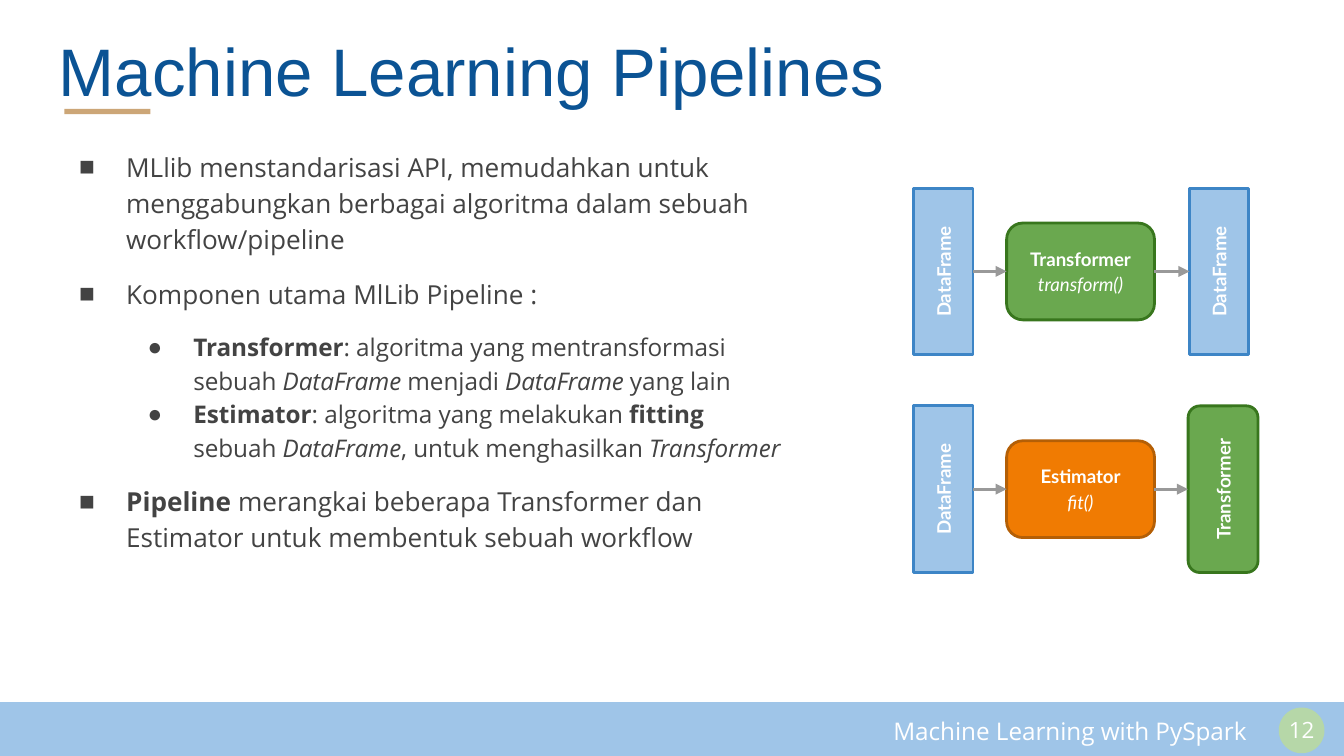
from lxml import etree
from pptx import Presentation
from pptx.dml.color import RGBColor
from pptx.enum import shapes, text
from pptx.oxml import ns
from pptx.util import Inches, Pt

WHITE = RGBColor(0xFF, 0xFF, 0xFF)
TAN = RGBColor(0xCC, 0xA6, 0x77)
LIGHT_BLUE = RGBColor(0x9F, 0xC5, 0xE8)
MID_BLUE = RGBColor(0x3D, 0x85, 0xC6)
TITLE_BLUE = RGBColor(0x0B, 0x53, 0x94)
PALE_GREEN = RGBColor(0xB6, 0xD7, 0xA8)
GREEN = RGBColor(0x6A, 0xA8, 0x4F)
DARK_GREEN = RGBColor(0x38, 0x76, 0x1D)
ORANGE = RGBColor(0xF0, 0x7B, 0x02)
BROWN = RGBColor(0xB4, 0x5F, 0x06)
GRAY = RGBColor(0x99, 0x99, 0x99)
DARK_GRAY = RGBColor(0x43, 0x43, 0x43)

RECT = shapes.MSO_SHAPE.RECTANGLE
ROUND = shapes.MSO_SHAPE.ROUNDED_RECTANGLE
OVAL = shapes.MSO_SHAPE.OVAL
LEFT, CENTER, RIGHT = text.PP_ALIGN.LEFT, text.PP_ALIGN.CENTER, text.PP_ALIGN.RIGHT
MIDDLE, TOP = text.MSO_ANCHOR.MIDDLE, text.MSO_ANCHOR.TOP

BULLETS = [
    (0, 0, 0, [("MLlib menstandarisasi API, memudahkan untuk menggabungkan "
                "berbagai algoritma dalam sebuah workflow/pipeline", "")]),
    (0, 10, 0, [("Komponen utama MlLib Pipeline :", "")]),
    (1, 10, 0, [("Transformer", "b"), (": algoritma yang mentransformasi sebuah ", ""),
                ("DataFrame", "i"), (" menjadi ", ""), ("DataFrame", "i"),
                (" yang lain", "")]),
    (1, 0, 0, [("Estimator", "b"), (": algoritma yang melakukan ", ""),
               ("fitting", "b"), (" sebuah ", ""), ("DataFrame", "i"),
               (", untuk menghasilkan ", ""), ("Transformer", "i")]),
    (0, 10, 10, [("Pipeline ", "b"), ("merangkai beberapa Transformer dan Estimator "
                                      "untuk membentuk sebuah workflow", "")]),
]
LEVELS = [(14, 0.5, 0.35, "■"), (13, 1, 0.34, "●")]


def add_span(para, words, size, font, color, style=""):
    span = para.add_run()
    span.text = words
    span.font.size = Pt(size)
    span.font.name = font
    span.font.color.rgb = color
    span.font.bold = "b" in style
    span.font.italic = "i" in style


def prepare_frame(box, anchor):
    frame = box.text_frame
    frame.word_wrap = True
    frame.vertical_anchor = anchor
    frame.margin_left = frame.margin_right = Inches(0.1)
    frame.margin_top = frame.margin_bottom = Inches(0.1)
    return frame


def add_text(page, area, words, size, font, color, align):
    box = page.shapes.add_textbox(*map(Inches, area))
    para = prepare_frame(box, MIDDLE).paragraphs[0]
    para.alignment = align
    add_span(para, words, size, font, color)


def add_block(page, kind, area, fill, line=None, width=0.75):
    block = page.shapes.add_shape(kind, *map(Inches, area))
    block.shadow.inherit = False
    block.fill.solid()
    block.fill.fore_color.rgb = fill
    if line is None:
        block.line.fill.background()
    else:
        block.line.color.rgb = line
        block.line.width = Pt(width)
    return block


def add_node(page, kind, center, size, colors, name, method=None, rotation=0):
    (x, y), (width, height) = center, size
    area = (x - width / 2, y - height / 2, width, height)
    node = add_block(page, kind, area, *colors, 1.5)
    node.rotation = rotation
    frame = prepare_frame(node, MIDDLE)
    para = frame.paragraphs[0]
    para.alignment = CENTER
    add_span(para, name, 10, "Lato", WHITE, "b")
    if method:
        para = frame.add_paragraph()
        para.alignment = CENTER
        para.line_spacing = 1.15
        add_span(para, method, 10, "Lato", WHITE, "i")


def add_arrow(page, start, end, y):
    arrow = page.shapes.add_connector(
        shapes.MSO_CONNECTOR.STRAIGHT, Inches(start), Inches(y), Inches(end), Inches(y))
    arrow.line.color.rgb = GRAY
    arrow.line.width = Pt(1.5)
    line = arrow.line._get_or_add_ln()
    etree.SubElement(line, ns.qn("a:tailEnd"), type="triangle")
    etree.SubElement(arrow._element.spPr, ns.qn("a:effectLst"))


def set_bullet(para, symbol, left, hanging):
    props = para._p.get_or_add_pPr()
    props.set("marL", str(Inches(left)))
    props.set("indent", str(-Inches(hanging)))
    color = etree.SubElement(props, ns.qn("a:buClr"))
    etree.SubElement(color, ns.qn("a:srgbClr"), val=str(DARK_GRAY))
    etree.SubElement(props, ns.qn("a:buFont"), typeface="Arial")
    etree.SubElement(props, ns.qn("a:buChar"), char=symbol)


def add_bullets(page, area):
    box = page.shapes.add_textbox(*map(Inches, area))
    frame = prepare_frame(box, TOP)
    for index, (level, before, after, spans) in enumerate(BULLETS):
        para = frame.add_paragraph() if index else frame.paragraphs[0]
        size, left, hanging, symbol = LEVELS[level]
        para.level = level
        para.line_spacing = 1.15
        para.space_before, para.space_after = Pt(before), Pt(after)
        set_bullet(para, symbol, left, hanging)
        for words, style in spans:
            add_span(para, words, size, "Open Sans", DARK_GRAY, style)


def add_flow(page, y, stage, method, stage_colors, output):
    kind, x, thickness, colors, name = output
    frame_colors = (LIGHT_BLUE, MID_BLUE)
    add_node(page, RECT, (7.02, y), (1.24, 0.44), frame_colors, "DataFrame", rotation=270)
    add_node(page, ROUND, (8.04, y), (1.1, 0.72), stage_colors, stage, method)
    add_node(page, kind, (x, y), (1.24, thickness), colors, name, rotation=270)
    add_arrow(page, 7.24, 7.49, y)
    add_arrow(page, 8.59, x - thickness / 2, y)


def main():
    deck = Presentation()
    deck.slide_width = Inches(10)
    deck.slide_height = deck.slide_width * 9 // 16
    page = deck.slides.add_slide(deck.slide_layouts[6])

    add_block(page, RECT, (0.48, 0.81, 0.64, 0.04), TAN)
    add_block(page, RECT, (0, 5.23, 10, 0.4), LIGHT_BLUE, LIGHT_BLUE)
    add_text(page, (6.19, 5.3, 3.18, 0.28), "Machine Learning with PySpark",
             13, "Open Sans", WHITE, RIGHT)
    add_block(page, OVAL, (9.52, 5.27, 0.33, 0.33), PALE_GREEN, PALE_GREEN)
    add_text(page, (0.34, 0.18, 9.32, 0.68), "Machine Learning Pipelines",
             36, "Arial", TITLE_BLUE, LEFT)
    add_bullets(page, (0.34, 0.99, 5.63, 4.02))
    add_text(page, (9.43, 5.26, 0.51, 0.34), "12", 12, "Open Sans", WHITE, CENTER)

    add_flow(page, 2.02, "Transformer", "transform()", (GREEN, DARK_GREEN),
             (RECT, 9.07, 0.44, (LIGHT_BLUE, MID_BLUE), "DataFrame"))
    add_flow(page, 3.64, "Estimator", "fit()", (ORANGE, BROWN),
             (ROUND, 9.1, 0.52, (GREEN, DARK_GREEN), "Transformer"))
    deck.save("out.pptx")


if __name__ == "__main__":
    main()
